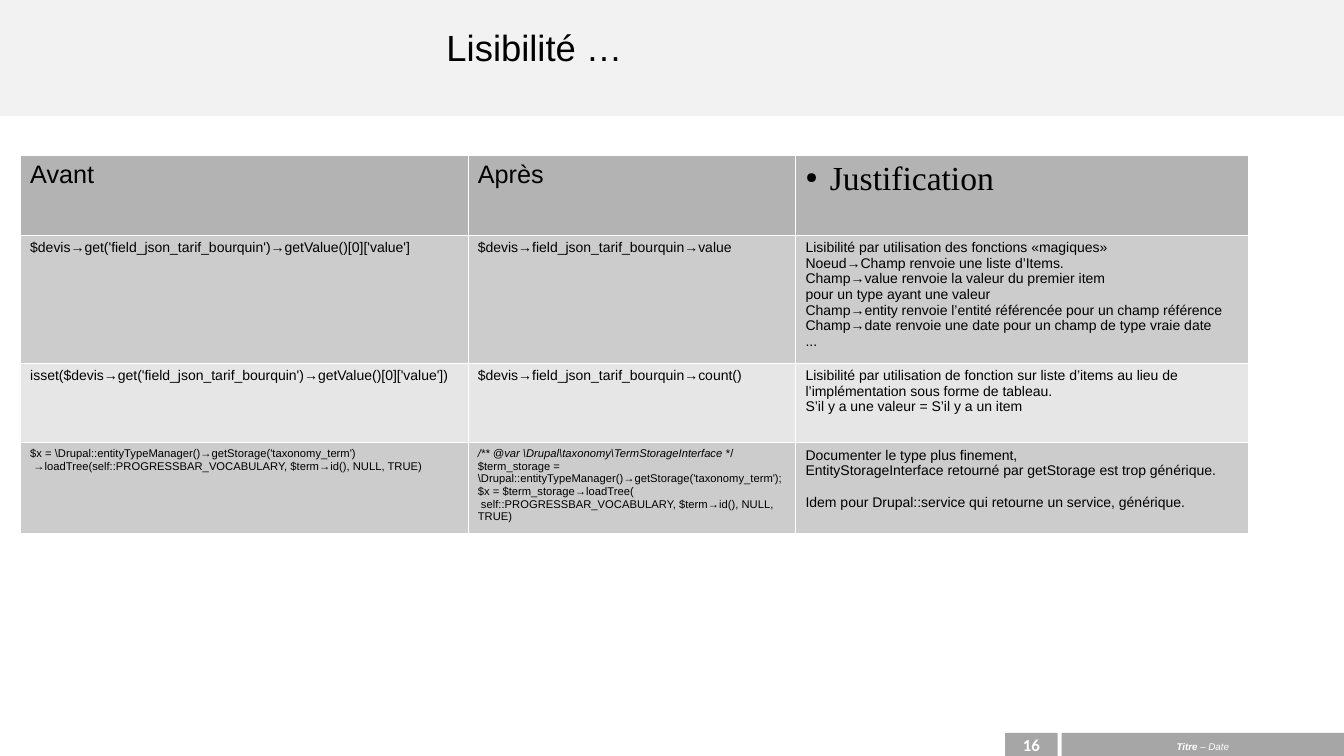
import pptx
import pptx.util
import pptx.dml.color
import pptx.enum.shapes
import pptx.enum.text
import pptx.oxml.ns
import lxml.etree

Inches = pptx.util.Inches
Pt = pptx.util.Pt
ALIGN = pptx.enum.text.PP_ALIGN
ANCHOR = pptx.enum.text.MSO_ANCHOR

COLORS = {
    "band": "F2F2F2", "footer": "A6A6A6", "header": "B3B3B3",
    "dark_row": "CCCCCC", "light_row": "E6E6E6",
    "black": "000000", "white": "FFFFFF",
}

TITLE = "Lisibilité …"
PAGE_NUMBER = "16"
FOOTER = [("Titre ", {"bold": True}), ("– Date", {"bold": False})]

HEADINGS = ["Avant", "Après", "Justification"]
ROWS = [
    (
        ["$devis→get('field_json_tarif_bourquin')→getValue()[0]['value']"],
        ["$devis→field_json_tarif_bourquin→value"],
        [
            "Lisibilité par utilisation des fonctions «magiques»",
            "Noeud→Champ renvoie une liste d’Items.",
            "Champ→value renvoie la valeur du premier item",
            "pour un type ayant une valeur",
            "Champ→entity renvoie l’entité référencée pour un champ référence",
            "Champ→date renvoie une date pour un champ de type vraie date",
            "...",
        ],
    ),
    (
        ["isset($devis→get('field_json_tarif_bourquin')→getValue()[0]['value'])"],
        ["$devis→field_json_tarif_bourquin→count()"],
        [
            "Lisibilité par utilisation de fonction sur liste d’items au lieu de "
            "l’implémentation sous forme de tableau.",
            "S’il y a une valeur = S’il y a un item",
        ],
    ),
    (
        [
            "$x = \\Drupal::entityTypeManager()→getStorage('taxonomy_term')",
            " →loadTree(self::PROGRESSBAR_VOCABULARY, $term→id(), NULL, TRUE)",
        ],
        [
            [("/** @var \\Drupal\\taxonomy\\TermStorageInterface *", {"italic": True}),
             ("/", {"italic": False})],
            "$term_storage =",
            "\\Drupal::entityTypeManager()→getStorage('taxonomy_term');",
            "$x = $term_storage→loadTree(",
            " self::PROGRESSBAR_VOCABULARY, $term→id(), NULL, TRUE)",
        ],
        [
            "Documenter le type plus finement,",
            "EntityStorageInterface retourné par getStorage est trop générique.",
            "Idem pour Drupal::service qui retourne un service, générique.",
        ],
    ),
]
ROW_FILLS = ["dark_row", "light_row", "dark_row"]
ROW_SIZES = [(10, 10, 10), (10, 10, 10), (8, 8, 10)]
COLUMN_WIDTHS = [4.44, 3.25, 4.49]
ROW_HEIGHT = 0.79
BORDER_WIDTH = 0.06

BODY = {"name": "Arial", "size": Pt(10), "bold": False}
HEADING = BODY | {"size": Pt(18)}
JUSTIFICATION = BODY | {"name": "Times New Roman", "size": Pt(24)}
TITLE_FONT = BODY | {"size": Pt(26)}
NUMBER_FONT = {"name": "Calibri", "size": Pt(12), "bold": True}
FOOTER_FONT = {"name": "Arial", "size": Pt(7), "italic": True}


def set_all(target, values):
    for name, value in values.items():
        setattr(target, name, value)


def rgb(color):
    return pptx.dml.color.RGBColor.from_string(COLORS[color])


def add_element(parent, tag, **attributes):
    return lxml.etree.SubElement(parent, pptx.oxml.ns.qn(tag), attributes)


def write(frame, lines, font, color="black", layout=None):
    frame.word_wrap = True
    for index, line in enumerate(lines):
        para = frame.add_paragraph() if index else frame.paragraphs[0]
        set_all(para, layout or {})
        for text, changes in [(line, {})] if isinstance(line, str) else line:
            span = para.add_run()
            span.text = text
            set_all(span.font, font | changes)
            span.font.color.rgb = rgb(color)


def add_bar(page, place, color):
    bar = page.shapes.add_shape(
        pptx.enum.shapes.MSO_SHAPE.RECTANGLE, *map(Inches, place))
    bar.shadow.inherit = False
    bar.fill.solid()
    bar.fill.fore_color.rgb = rgb(color)
    bar.line.fill.background()
    return bar


def add_text(page, place, lines, font, color="black", layout=None):
    box = page.shapes.add_textbox(*map(Inches, place))
    write(box.text_frame, lines, font, color, layout)


def fill_cell(cell, lines, font, color):
    write(cell.text_frame, lines, font)
    properties = cell._tc.get_or_add_tcPr()
    for side in ("a:lnL", "a:lnR", "a:lnT", "a:lnB"):
        border = add_element(properties, side, w=str(Pt(BORDER_WIDTH)))
        add_element(add_element(border, "a:solidFill"), "a:srgbClr", val=COLORS["white"])
    cell.fill.solid()
    cell.fill.fore_color.rgb = rgb(color)


def add_bullet(para):
    properties = para._p.get_or_add_pPr()
    set_all_attributes = {"marL": Inches(0.24), "indent": Inches(-0.24)}
    for name, value in set_all_attributes.items():
        properties.set(name, str(value))
    add_element(add_element(properties, "a:buClr"), "a:srgbClr", val=COLORS["black"])
    add_element(properties, "a:buSzPct", val="45000")
    add_element(properties, "a:buChar", char="●")


def add_comparison(page):
    row_count = len(ROWS) + 1
    table = page.shapes.add_table(
        row_count, len(HEADINGS), Inches(0.2), Inches(1.54),
        Inches(sum(COLUMN_WIDTHS)), Inches(ROW_HEIGHT * row_count)).table
    set_all(table, {"first_row": False, "horz_banding": False})
    for column, width in zip(table.columns, COLUMN_WIDTHS):
        column.width = Inches(width)
    for row in table.rows:
        row.height = Inches(ROW_HEIGHT)

    for column, (heading, font) in enumerate(
            zip(HEADINGS, [HEADING, HEADING, JUSTIFICATION])):
        fill_cell(table.cell(0, column), [heading], font, "header")
    add_bullet(table.cell(0, 2).text_frame.paragraphs[0])

    for row, (texts, sizes, color) in enumerate(zip(ROWS, ROW_SIZES, ROW_FILLS), 1):
        for column, (lines, size) in enumerate(zip(texts, sizes)):
            fill_cell(table.cell(row, column), lines, BODY | {"size": Pt(size)}, color)
    table.cell(len(ROWS), 2).text_frame.paragraphs[-1].space_before = Pt(11.5)


def main():
    deck = pptx.Presentation()
    set_all(deck, {"slide_width": Inches(13.33), "slide_height": Inches(7.5)})
    page = deck.slides.add_slide(deck.slide_layouts[6])

    centred = {"alignment": ALIGN.CENTER}
    number_bar = add_bar(page, (9.97, 7.27, 0.52, 0.23), "footer")
    number_bar.text_frame.vertical_anchor = ANCHOR.MIDDLE
    write(number_bar.text_frame, [PAGE_NUMBER], NUMBER_FONT, "white", centred)
    add_bar(page, (10.53, 7.27, 2.8, 0.23), "footer")
    add_text(page, (10.53, 7.24, 2.8, 0.27), [FOOTER], FOOTER_FONT, "white",
             centred | {"line_spacing": 1.5})

    add_bar(page, (0, 0, 13.33, 1.15), "band")
    add_comparison(page)
    add_text(page, (4.33, 0.2, 5.9, 0.5), [TITLE], TITLE_FONT)
    deck.save("out.pptx")


if __name__ == "__main__":
    main()
